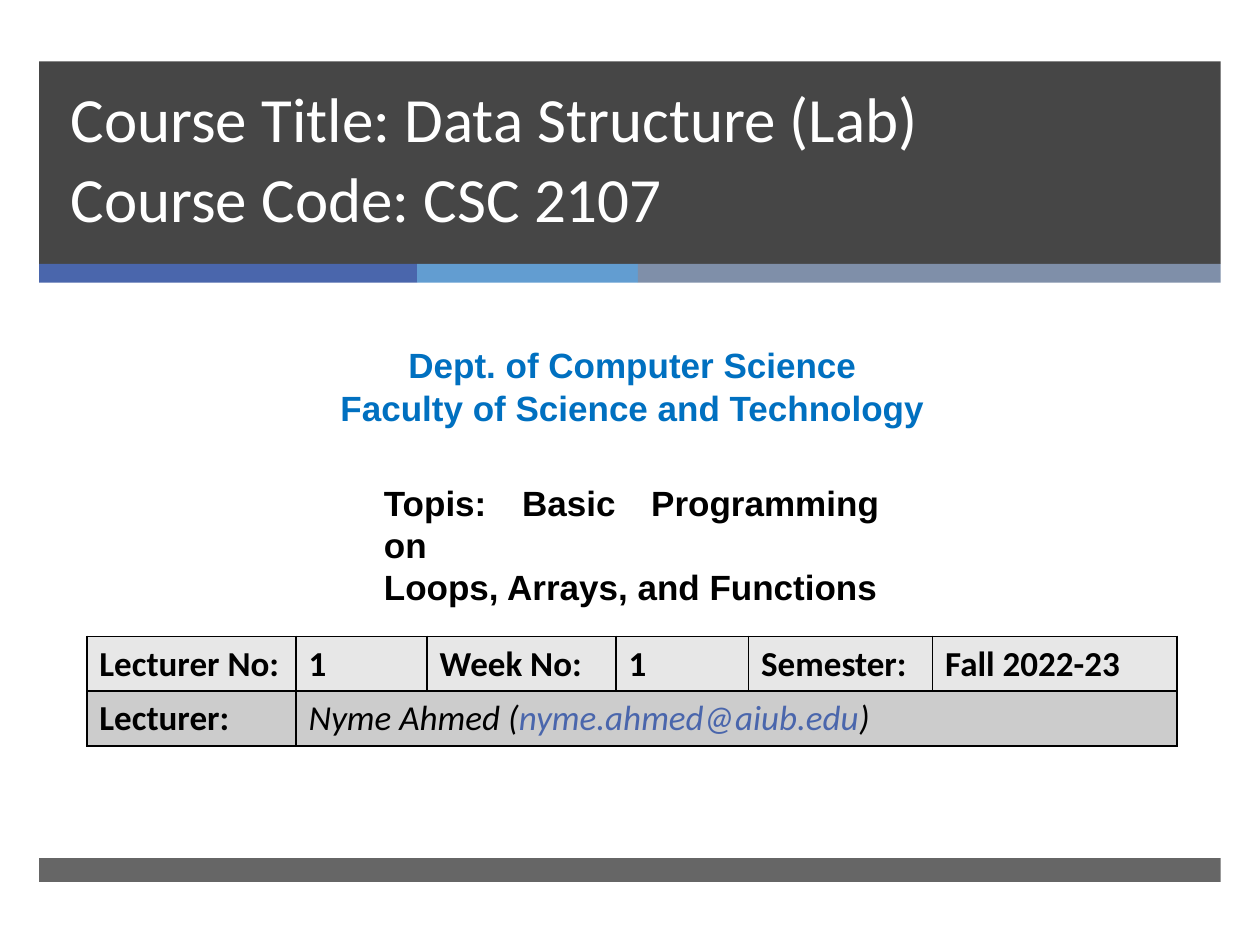
"""Build the opening slide of a data structure lab course."""
from lxml import etree
from pptx import Presentation
from pptx import util as u
from pptx.dml.color import RGBColor
from pptx.enum import shapes, text
from pptx.oxml import parse_xml
from pptx.oxml.ns import nsdecls, qn


def paint(target, color):
    target.fill.solid()
    target.fill.fore_color.rgb = RGBColor.from_string(color)


def style(paragraph, size, font, color, bold=False):
    for run in paragraph.runs:
        run.font.size = u.Pt(size)
        run.font.name = font
        run.font.bold = bold
        run.font.color.rgb = RGBColor.from_string(color)


presentation = Presentation()
presentation.slide_width = u.Cm(25.4)
presentation.slide_height = u.Cm(19.05)
slide = presentation.slides.add_slide(presentation.slide_layouts[0])
subtitle = slide.placeholders[1]
subtitle.element.getparent().remove(subtitle.element)

bars = [
    (0.79, 1.24, 23.82, 4.08, "262626", 85),
    (0.79, 5.32, 7.62, 0.38, "4A66AC", 100),
    (8.41, 5.32, 4.45, 0.38, "629DD1", 100),
    (12.86, 5.32, 11.75, 0.38, "7F8FA9", 100),
    (0.79, 17.3, 23.82, 0.48, "262626", 70),
]
for left, top, width, height, color, opacity in bars:
    bar = slide.shapes.add_shape(
        shapes.MSO_SHAPE.RECTANGLE, u.Cm(left), u.Cm(top), u.Cm(width), u.Cm(height))
    bar.shadow.inherit = False
    bar.line.fill.background()
    paint(bar, color)
    if opacity < 100:
        tint = bar.element.spPr.find(".//" + qn("a:srgbClr"))
        etree.SubElement(tint, qn("a:alpha")).set("val", str(opacity * 1000))

title = slide.shapes.title
title.left, title.top, title.width, title.height = u.Cm(1.17), u.Cm(1.85), u.Cm(21.69), u.Cm(3.02)
slide.shapes._spTree.append(title.element)
title.text_frame.text = "Course Title: Data Structure (Lab)\vCourse Code: CSC 2107"
title.text_frame.vertical_anchor = text.MSO_ANCHOR.BOTTOM
title.text_frame.auto_size = text.MSO_AUTO_SIZE.NONE
heading = title.text_frame.paragraphs[0]
heading.alignment = text.PP_ALIGN.LEFT
heading.line_spacing = u.Pt(46)
style(heading, 36, "Calibri", "FFFFFF")

captions = [
    (1.75, 6.81, 22, 2.82, "Dept. of Computer Science\nFaculty of Science and Technology",
     text.PP_ALIGN.CENTER, "0070C0"),
    (7.49, 9.58, 10.49, 1.96, "Topis: Basic Programming on\vLoops, Arrays, and Functions",
     text.PP_ALIGN.JUSTIFY, "000000"),
]
for left, top, width, height, wording, alignment, color in captions:
    caption = slide.shapes.add_textbox(u.Cm(left), u.Cm(top), u.Cm(width), u.Cm(height))
    caption.text_frame.word_wrap = True
    caption.text_frame.text = wording
    for paragraph in caption.text_frame.paragraphs:
        paragraph.alignment = alignment
        style(paragraph, 20, "Arial", color, bold=True)

column_widths = [4.22, 2.64, 3.81, 2.67, 3.71, 4.93]
rows = [
    ("E7E7E7", ["Lecturer No:", "1", "Week No:", "1", "Semester:", "Fall 2022-23"]),
    ("CCCCCC", ["Lecturer:"]),
]
table = slide.shapes.add_table(
    len(rows), len(column_widths), u.Cm(1.75), u.Cm(12.83), u.Cm(21.98), u.Cm(2.2)).table
for column, width in zip(table.columns, column_widths):
    column.width = u.Cm(width)
for row, (color, labels) in zip(table.rows, rows):
    row.height = u.Cm(1.1)
    for cell in row.cells:
        paint(cell, color)
        properties = cell._tc.get_or_add_tcPr()
        for position, side in enumerate(["lnL", "lnR", "lnT", "lnB"]):
            properties.insert(position, parse_xml(
                f'<a:{side} {nsdecls("a")} w="12700"><a:solidFill>'
                f'<a:srgbClr val="000000"/></a:solidFill></a:{side}>'))
    for cell, label in zip(row.cells, labels):
        cell.text_frame.text = label
        style(cell.text_frame.paragraphs[0], 20, "Calibri", "000000", bold=True)

lecturer = table.cell(1, 1)
lecturer.merge(table.cell(1, 5))
paragraph = lecturer.text_frame.paragraphs[0]
for wording in ["Nyme Ahmed (", "nyme.ahmed@aiub.edu", ")"]:
    paragraph.add_run().text = wording
style(paragraph, 20, "Calibri", "000000")
for run in paragraph.runs:
    run.font.italic = True
paragraph.runs[1].font.color.rgb = RGBColor.from_string("4A66AC")

presentation.save("out.pptx")
